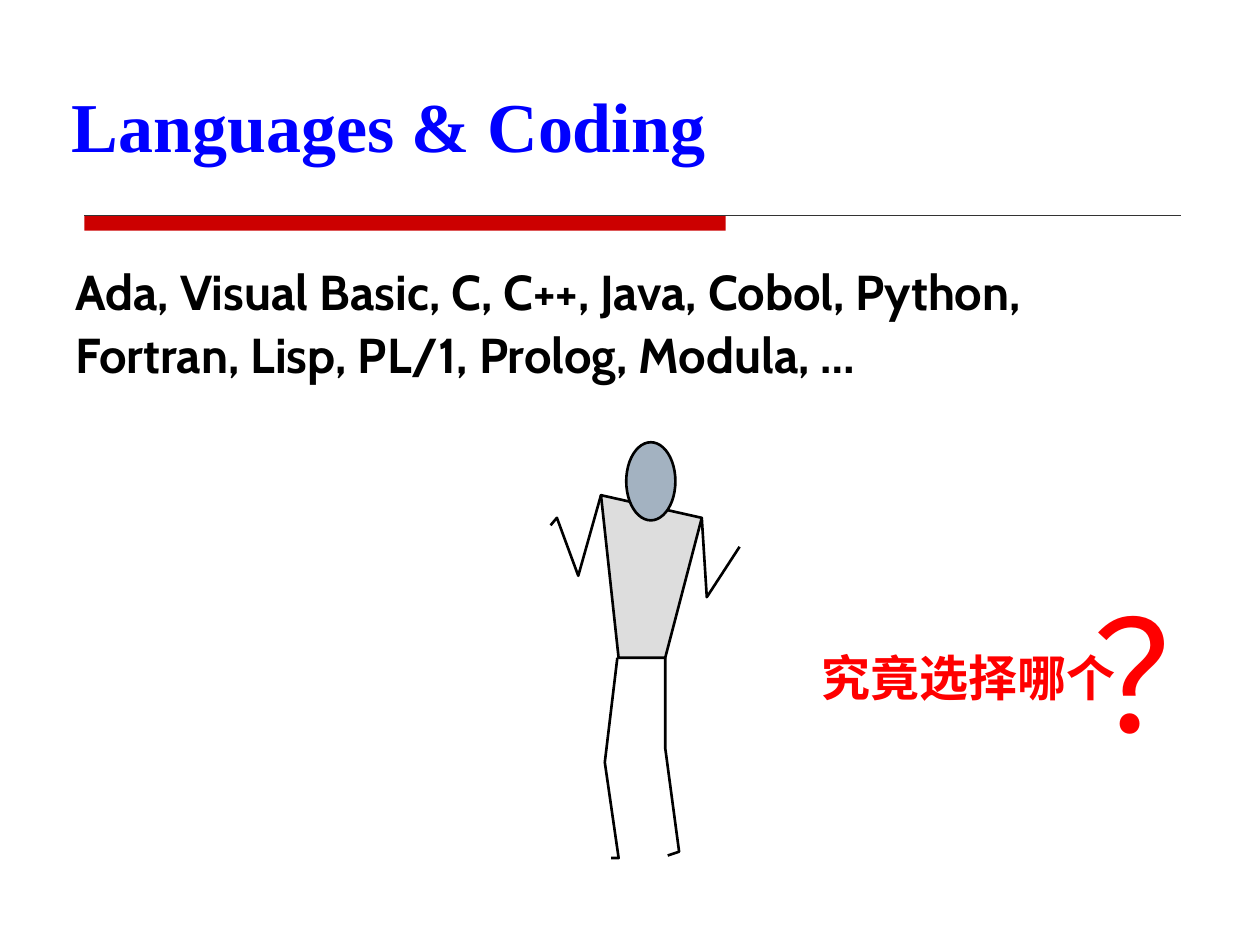
from pptx import Presentation
from pptx.dml.color import RGBColor
from pptx.enum.shapes import MSO_CONNECTOR, MSO_SHAPE as SHAPE
from pptx.enum.text import MSO_ANCHOR as ANCHOR, PP_ALIGN as ALIGN
from pptx.oxml.ns import qn
from pptx.util import Inches, Pt
from lxml.etree import SubElement

BLUE = RGBColor(0x00, 0x00, 0xFF)
RED = RGBColor(0xFF, 0x00, 0x00)
DARK_RED = RGBColor(0xCC, 0x00, 0x00)
BLACK = RGBColor(0x00, 0x00, 0x00)
RULE_GRAY = RGBColor(0x33, 0x33, 0x33)
SHIRT_GRAY = RGBColor(0xDD, 0xDD, 0xDD)
HEAD_BLUE = RGBColor(0xA3, 0xB2, 0xC1)

# Outlines of the figure, in inches
TORSO = [(4.77, 3.93), (5.57, 4.11), (5.28, 5.22), (4.91, 5.22)]
LIMBS = [
    [(4.77, 3.93), (4.59, 4.57), (4.42, 4.11), (4.37, 4.17)],  # left arm
    [(5.57, 4.11), (5.61, 4.74), (5.87, 4.34)],                # right arm
    [(4.9, 5.22), (4.8, 6.05), (4.91, 6.81), (4.85, 6.81)],    # left leg
    [(5.28, 5.22), (5.28, 5.94), (5.39, 6.76), (5.3, 6.79)],   # right leg
]


def place(sp, left, top, width, height):
    sp.left, sp.top = Inches(left), Inches(top)
    sp.width, sp.height = Inches(width), Inches(height)


def write(tf, lines, size, color, font="Arial", bold=False, align=ALIGN.LEFT,
          anchor=ANCHOR.TOP, wrap=False, spacing=None, gap=0):
    """Fill a text frame with one paragraph per line."""
    tf.word_wrap = wrap
    tf.vertical_anchor = anchor
    for i, line in enumerate(lines):
        p = tf.add_paragraph() if i else tf.paragraphs[0]
        p.alignment = align
        p.line_spacing = spacing
        p.space_before = Pt(gap if i else 0)
        r = p.add_run()
        r.text = line
        r.font.name, r.font.size, r.font.bold = font, Pt(size), bold
        r.font.color.rgb = color


def add_text(slide, box, lines, size, color, **fmt):
    tb = slide.shapes.add_textbox(*map(Inches, box))
    write(tb.text_frame, lines, size, color, **fmt)


def paint(sp, fill=None, line=BLACK, width=1.5):
    sp.shadow.inherit = False
    if fill is None:
        sp.fill.background()
    else:
        sp.fill.solid()
        sp.fill.fore_color.rgb = fill
    if line is None:
        sp.line.fill.background()
    else:
        sp.line.color.rgb = line
        sp.line.width = Pt(width)


def add_outline(shapes, points, fill=None, close=False):
    start, *rest = [(Inches(x), Inches(y)) for x, y in points]
    builder = shapes.build_freeform(*start)
    builder.add_line_segments(rest, close=close)
    paint(builder.convert_to_shape(), fill)


def add_title_rule(slide):
    bar = slide.shapes.add_shape(SHAPE.RECTANGLE, Inches(0.67), Inches(1.71),
                                 Inches(5.09), Inches(0.12))
    paint(bar, DARK_RED, line=None)
    rule = slide.shapes.add_connector(MSO_CONNECTOR.STRAIGHT, Inches(0.67),
                                      Inches(1.71), Inches(9.37), Inches(1.71))
    rule.line.color.rgb = RULE_GRAY
    rule.line.width = Pt(0.75)
    SubElement(rule._element.spPr, qn("a:effectLst"))


def add_figure(slide):
    shapes = slide.shapes.add_group_shape().shapes
    add_outline(shapes, TORSO, SHIRT_GRAY, close=True)
    head = shapes.add_shape(SHAPE.OVAL, Inches(4.97), Inches(3.51),
                            Inches(0.39), Inches(0.62))
    paint(head, HEAD_BLUE)
    for limb in LIMBS:
        add_outline(shapes, limb)


def main():
    prs = Presentation()
    prs.slide_width, prs.slide_height = Inches(10), Inches(7.5)
    slide = prs.slides.add_slide(prs.slide_layouts[5])

    # Title and rule
    add_title_rule(slide)
    title = slide.shapes.title
    place(title, 0.47, 0.5, 9.03, 0.87)
    write(title.text_frame, ["Languages & Coding"], 40, BLUE,
          font="Times New Roman", bold=True, anchor=ANCHOR.BOTTOM, wrap=True)

    # List of languages
    add_text(slide, (0.5, 2.08, 9.41, 1.04),
             ["Ada, Visual Basic, C, C++, Java, Cobol, Python,",
              "Fortran, Lisp, PL/1, Prolog, Modula, …"],
             28, BLACK, font="Cabin", bold=True, spacing=0.9, gap=5.6)

    # Puzzled person and the question
    add_figure(slide)
    add_text(slide, (6.41, 5.09, 2.55, 0.57), ["究竟选择哪个"], 28, RED,
             bold=True, align=ALIGN.CENTER)
    add_text(slide, (8.58, 4.55, 1.42, 1.57), ["？"], 88, RED,
             align=ALIGN.CENTER)

    prs.save("out.pptx")


if __name__ == "__main__":
    main()
